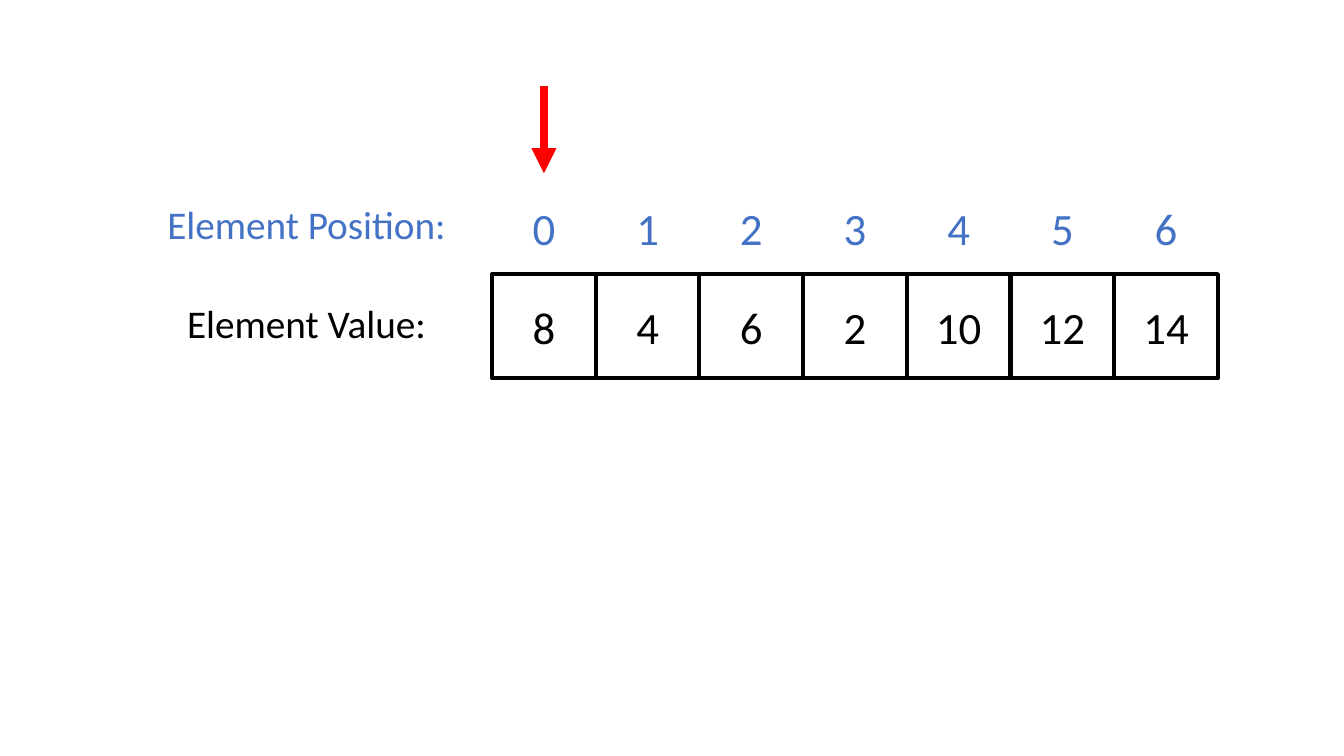
import pptx
import pptx.util
import pptx.dml.color
import pptx.enum.shapes
import pptx.enum.text
import pptx.oxml.ns
from lxml import etree
from pptx.util import Inches

RGB = pptx.dml.color.RGBColor.from_string
THEME = {
    "font": "Calibri",
    "ink": RGB("000000"),
    "paper": RGB("FFFFFF"),
    "position": RGB("4472C4"),
    "pointer": RGB("FF0000"),
    "number": pptx.util.Pt(32),
    "label": pptx.util.Pt(28),
    "border": pptx.util.Pt(3),
    "arrow": pptx.util.Pt(6),
}


def add_text(s, text, left, top, width, height, size, color):
    tf = s.shapes.add_textbox(Inches(left), Inches(top), Inches(width), Inches(height)).text_frame
    tf.word_wrap = True
    tf.auto_size = pptx.enum.text.MSO_AUTO_SIZE.SHAPE_TO_FIT_TEXT
    p = tf.paragraphs[0]
    p.alignment = pptx.enum.text.PP_ALIGN.CENTER
    r = p.add_run()
    r.text = text
    for name, value in {"name": THEME["font"], "size": THEME[size]}.items():
        setattr(r.font, name, value)
    r.font.color.rgb = THEME[color]


prs = pptx.Presentation()
prs.slide_width, prs.slide_height = Inches(13.33), Inches(7.5)
s = prs.slides.add_slide(prs.slide_layouts[6])

# Array geometry
values = [8, 4, 6, 2, 10, 12, 14]
array_left, array_top, cell = 4.88, 2.72, 1.03
pitch = (11.05 - array_left) / (len(values) - 1)
position_top, value_top = 1.94, 2.92
number_width, number_height = 0.78, 0.64

# Cells with their values and positions
for position, value in enumerate(values):
    left = array_left + position * pitch
    box = s.shapes.add_shape(pptx.enum.shapes.MSO_SHAPE.RECTANGLE,
                             Inches(left), Inches(array_top), Inches(cell), Inches(cell))
    box.shadow.inherit = False
    box.fill.solid()
    box.fill.fore_color.rgb = THEME["paper"]
    box.line.color.rgb = THEME["ink"]
    box.line.width = THEME["border"]
    number_left = left + (cell - number_width) / 2
    for number, top, color in [(value, value_top, "ink"), (position, position_top, "position")]:
        add_text(s, str(number), number_left, top, number_width, number_height, "number", color)

# Row labels
add_text(s, "Element Position:", 1.54, position_top, 3, 0.57, "label", "position")
add_text(s, "Element Value:", 1.61, value_top, 2.86, 0.57, "label", "ink")

# Arrow to the current position
arrow_x = array_left + cell / 2
arrow = s.shapes.add_connector(pptx.enum.shapes.MSO_CONNECTOR.STRAIGHT,
                               Inches(arrow_x), Inches(0.85), Inches(arrow_x), Inches(1.72))
arrow.line.color.rgb = THEME["pointer"]
arrow.line.width = THEME["arrow"]
qn = pptx.oxml.ns.qn
etree.SubElement(arrow.line._get_or_add_ln(), qn("a:tailEnd"), type="triangle")
etree.SubElement(arrow._element.spPr, qn("a:effectLst"))

prs.save("out.pptx")
